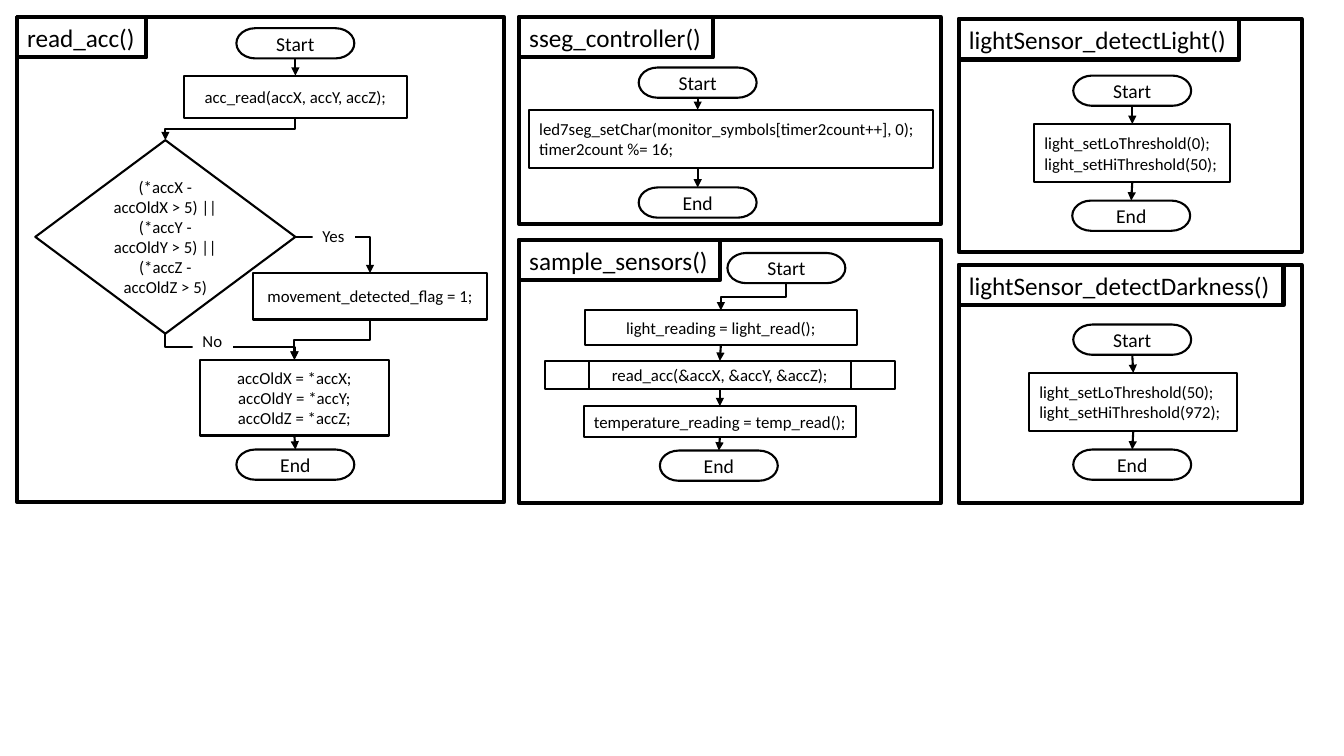
from pptx import Presentation
from pptx.util import Inches, Pt
from pptx.dml.color import RGBColor
from pptx.enum.shapes import MSO_SHAPE as SHAPE, MSO_CONNECTOR as CONN
from pptx.enum.text import PP_ALIGN as ALIGN, MSO_ANCHOR as ANCHOR, MSO_AUTO_SIZE as AUTO
from pptx.oxml.ns import qn
from lxml import etree

BLACK, WHITE, FONT = "000000", "FFFFFF", "Calibri"
TERMINAL = (1.17, 0.3)
TITLE_H = 0.4
KINDS = {
    "terminal": (SHAPE.FLOWCHART_TERMINATOR, 14, ALIGN.CENTER),
    "process": (SHAPE.FLOWCHART_PROCESS, 12, ALIGN.CENTER),
    "code": (SHAPE.FLOWCHART_PROCESS, 12, ALIGN.LEFT),
    "call": (SHAPE.FLOWCHART_PREDEFINED_PROCESS, 12, ALIGN.CENTER),
    "decision": (SHAPE.FLOWCHART_DECISION, 12, ALIGN.CENTER),
}

# title, title width, panel box, start and end (centre x, top), steps, links, labels
PANELS = [
    dict(
        title="read_acc()", title_w=1.28, box=(0.17, 0.17, 4.83, 4.81),
        start=(2.93, 0.28), end=(2.93, 4.46),
        steps={
            "read": ("process", "acc_read(accX, accY, accZ);", 2.93, 0.75, 2.21, 0.42),
            "moved": ("decision", "(*accX - accOldX > 5) || (*accY - accOldY > 5) || "
                      "(*accZ - accOldZ > 5)", 1.64, 1.39, 2.58, 1.92),
            "flag": ("process", "movement_detected_flag = 1;", 3.67, 2.71, 2.32, 0.46),
            "store": ("process", "accOldX = *accX;\naccOldY = *accY;\naccOldZ = *accZ;",
                      2.92, 3.57, 1.88, 0.75),
        },
        links=[("start", "read", "straight"), ("read", "moved", "elbow"),
               ("moved", "flag", "corner"), ("moved", "store", "elbow"),
               ("flag", "store", "elbow"), ("store", "end", "straight")],
        labels=[("Yes", 3.1, 2.19, 0.42, 0.3), ("No", 1.91, 3.23, 0.4, 0.3)],
    ),
    dict(
        title="sample_sensors()", title_w=1.99, box=(5.15, 2.38, 4.18, 2.61),
        start=(7.8, 2.51), end=(7.13, 4.47),
        steps={
            "light": ("process", "light_reading = light_read();", 7.15, 3.08, 2.7, 0.34),
            "acc": ("call", "read_acc(&accX, &accY, &accZ);", 7.14, 3.58, 3.47, 0.28),
            "temp": ("process", "temperature_reading = temp_read();", 7.14, 4.03, 2.7, 0.31),
        },
        links=[("start", "light", "elbow"), ("light", "acc", "straight"),
               ("acc", "temp", "straight"), ("temp", "end", "straight")],
    ),
    dict(
        title="lightSensor_detectLight()", title_w=2.78, box=(9.51, 0.19, 3.4, 2.31),
        start=(11.23, 0.75), end=(11.22, 1.99),
        steps={"set": ("code", "light_setLoThreshold(0);\nlight_setHiThreshold(50);",
                       11.23, 1.23, 1.94, 0.58)},
        links=[("start", "set", "straight"), ("set", "end", "straight")],
    ),
    dict(
        title="lightSensor_detectDarkness()", title_w=3.22, box=(9.51, 2.63, 3.4, 2.36),
        start=(11.23, 3.22), end=(11.23, 4.46),
        steps={"set": ("code", "light_setLoThreshold(50);\nlight_setHiThreshold(972);",
                       11.24, 3.7, 2.06, 0.58)},
        links=[("start", "set", "straight"), ("set", "end", "straight")],
    ),
    dict(
        title="sseg_controller()", title_w=1.92, box=(5.15, 0.17, 4.18, 2.05),
        start=(6.92, 0.67), end=(6.92, 1.86),
        steps={"show": ("code", "led7seg_setChar(monitor_symbols[timer2count++], 0);\n"
                        "timer2count %= 16;", 7.25, 1.09, 4, 0.58)},
        links=[("start", "show", "straight"), ("show", "end", "straight")],
    ),
]


def rgb(color):
    return RGBColor.from_string(color)


def paint(sp, line_w=None):
    sp.fill.solid()
    sp.fill.fore_color.rgb = rgb(WHITE)
    if line_w:
        sp.line.color.rgb = rgb(BLACK)
        sp.line.width = Pt(line_w)


def write(sp, text, size, align):
    tf = sp.text_frame
    tf.text = text
    for p in tf.paragraphs:
        p.alignment = align
        for r in p.runs:
            r.font.name, r.font.size = FONT, Pt(size)
            r.font.color.rgb = rgb(BLACK)


def add_block(kind, box, line_w):
    sp = s.shapes.add_shape(kind, *map(Inches, box))
    sp.shadow.inherit = False
    paint(sp, line_w)
    return sp


def add_node(kind, text, cx, top, w, h):
    geometry, size, align = KINDS[kind]
    sp = add_block(geometry, (cx - w / 2, top, w, h), 1.5)
    sp.text_frame.word_wrap = True
    sp.text_frame.vertical_anchor = ANCHOR.MIDDLE
    write(sp, text, size, align)
    return sp


def add_caption(text, box, size, line_w=None):
    sp = s.shapes.add_textbox(*map(Inches, box))
    paint(sp, line_w)
    sp.text_frame.word_wrap = False
    sp.text_frame.auto_size = AUTO.SHAPE_TO_FIT_TEXT
    write(sp, text, size, ALIGN.LEFT)


def center(sp):
    return sp.left + sp.width // 2


def add_link(a, b, route):
    x1, y1, x2, y2 = center(a), a.top + a.height, center(b), b.top
    aligned = abs(x1 - x2) < Inches(0.02)
    if route == "straight" and not aligned:
        x1 = x2 = center(min(a, b, key=lambda n: n.width))
    if route == "corner":
        x1, y1 = a.left + a.width, a.top + a.height // 2
    c = s.shapes.add_connector(CONN.STRAIGHT if route == "straight" else CONN.ELBOW, x1, y1, x2, y2)
    if route != "straight" or aligned:
        c.begin_connect(a, 3 if route == "corner" else 2)
        c.end_connect(b, 0)
    pr = c._element.spPr
    if route == "corner":
        pr.find(qn("a:prstGeom")).set("prst", "bentConnector2")
    if route == "elbow":
        xfrm = pr.find(qn("a:xfrm"))
        xfrm.attrib.clear()
        xfrm.set("rot", str((90 if x2 < x1 else 270) * 60000))
        if x2 > x1:
            xfrm.set("flipH", "1")
        w, h = y2 - y1, abs(x2 - x1)
        c.left, c.top = (x1 + x2 - w) // 2, (y1 + y2 - h) // 2
        c.width, c.height = w, h
    c.line.color.rgb = rgb(BLACK)
    c.line.width = Pt(1.5)
    etree.SubElement(pr.find(qn("a:ln")), qn("a:tailEnd"), type="triangle")
    etree.SubElement(pr, qn("a:effectLst"))


prs = Presentation()
prs.slide_width, prs.slide_height = Inches(13.33), Inches(7.5)
s = prs.slides.add_slide(prs.slide_layouts[6])

for panel in PANELS:
    add_block(SHAPE.FLOWCHART_PROCESS, panel["box"], 3)
    add_caption(panel["title"], (*panel["box"][:2], panel["title_w"], TITLE_H), 18, 3)
    nodes = {key: add_node(*step) for key, step in panel["steps"].items()}
    for key in ("start", "end"):
        nodes[key] = add_node("terminal", key.title(), *panel[key], *TERMINAL)
    for a, b, route in panel["links"]:
        add_link(nodes[a], nodes[b], route)
    for text, *box in panel.get("labels", []):
        add_caption(text, box, 12)

prs.save("out.pptx")
